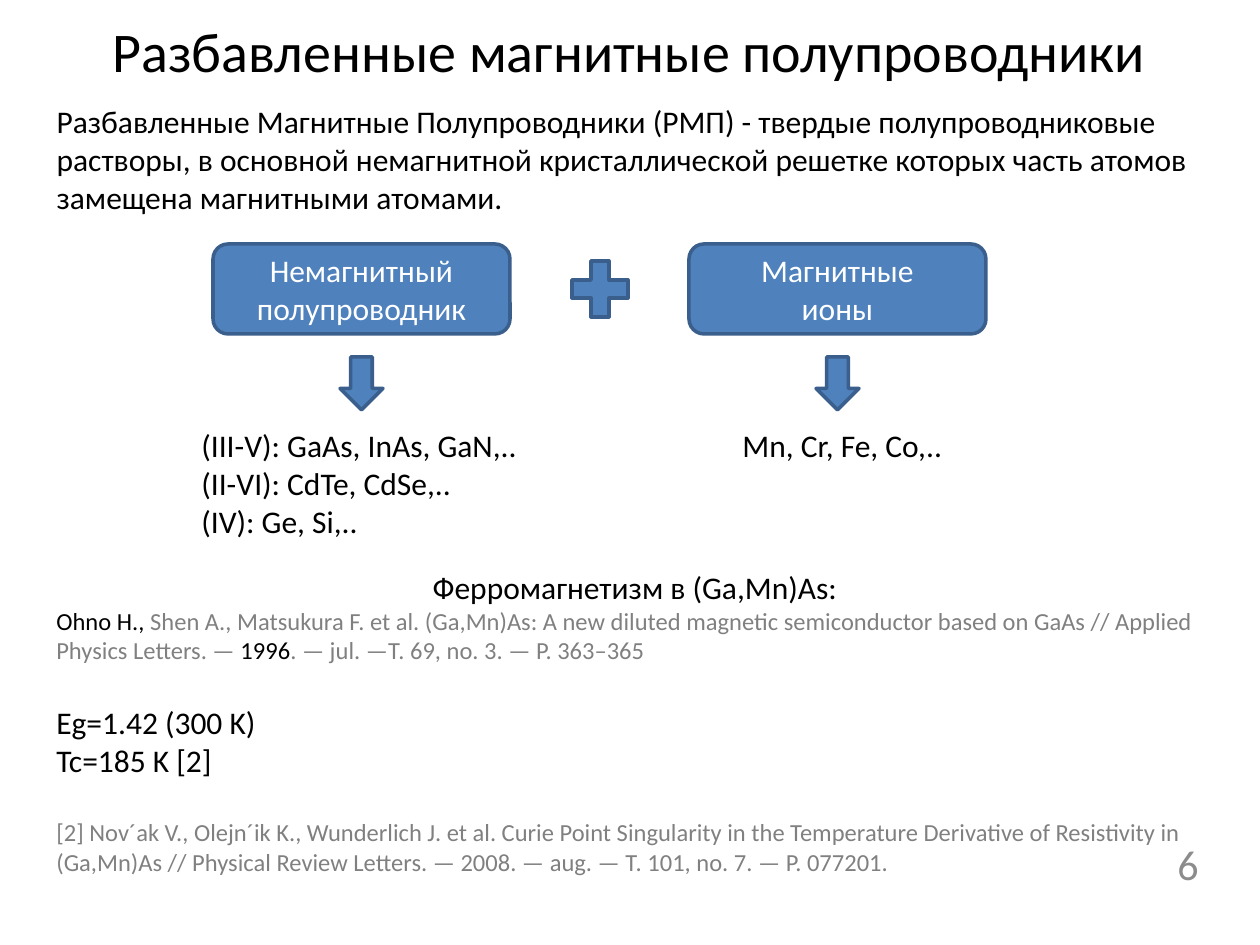
from pptx import Presentation
from pptx.dml.color import RGBColor
from pptx.enum.shapes import MSO_SHAPE
from pptx.enum.text import MSO_ANCHOR, MSO_AUTO_SIZE, PP_ALIGN
from pptx.oxml.ns import qn
from pptx.util import Emu, Pt

LEFT, CENTER, RIGHT = PP_ALIGN.LEFT, PP_ALIGN.CENTER, PP_ALIGN.RIGHT
MIDDLE = MSO_ANCHOR.MIDDLE
ROUNDED, PLUS, DOWN_ARROW = (
    MSO_SHAPE.ROUNDED_RECTANGLE, MSO_SHAPE.MATH_PLUS, MSO_SHAPE.DOWN_ARROW)

PX = 914400 / 126
BLACK, GRAY, WHITE = "000000", "808080", "FFFFFF"
BLUE, DARK_BLUE, NUMBER_GRAY = "4F81BD", "3A5F8C", "8C8C8C"


def box(*lengths):
    """Turn px lengths into EMU."""
    return [Emu(round(length * PX)) for length in lengths]


def write(text_frame, paragraphs, align=LEFT, size=18, color=BLACK):
    """Fill a frame; each paragraph is a string, styled alike."""
    text_frame.word_wrap = True
    text_frame.text = "\n".join(paragraphs)
    for paragraph in text_frame.paragraphs:
        paragraph.alignment = align
        for run in paragraph.runs:
            run.font.name = "Calibri"
            run.font.size = Pt(size)
            run.font.color.rgb = RGBColor.from_string(color)


presentation = Presentation()
presentation.slide_width, presentation.slide_height = box(1260, 945)
slide = presentation.slides.add_slide(presentation.slide_layouts[1])
shapes = slide.shapes

# Title and definition
title, body = shapes.title, slide.placeholders[1]
for placeholder, top, height in ((title, 16, 69), (body, 96, 139)):
    (placeholder.left, placeholder.top,
     placeholder.width, placeholder.height) = box(44, top, 1171, height)
    placeholder.text_frame.auto_size = MSO_AUTO_SIZE.NONE
write(title.text_frame, ["Разбавленные магнитные полупроводники"], CENTER, 32)
write(body.text_frame, [
    "Разбавленные Магнитные Полупроводники (РМП) - твердые полупроводниковые "
    "растворы, в основной немагнитной кристаллической решетке которых часть "
    "атомов замещена магнитными атомами."])
body_properties = body.text_frame.paragraphs[0]._p.get_or_add_pPr()
body_properties.set("marL", "0")
body_properties.set("indent", "0")
body_properties.append(body_properties.makeelement(qn("a:buNone"), {}))
body.text_frame.paragraphs[0].space_before = Pt(0)

# Slide number
number = shapes.add_textbox(*box(917, 839, 294, 50))
number.text_frame.vertical_anchor = MIDDLE
write(number.text_frame, ["6"], RIGHT, 24, NUMBER_GRAY)

# Components: two boxes joined by a plus, each with an arrow to its examples
diagram = [(PLUS, (562, 251, 76, 76), [])]
for left, label in ((213, ["Немагнитный", "полупроводник"]),
                    (689, ["Магнитные", "ионы"])):
    diagram.append((ROUNDED, (left, 244, 297, 90), label))
    diagram.append((DOWN_ARROW, (left + 127, 357, 43, 53), []))

for kind, place, label in diagram:
    shape = shapes.add_shape(kind, *box(*place))
    shape.shadow.inherit = False
    shape.fill.solid()
    shape.fill.fore_color.rgb = RGBColor.from_string(BLUE)
    shape.line.color.rgb = RGBColor.from_string(DARK_BLUE)
    shape.line.width = Pt(2)
    if label:
        shape.text_frame.vertical_anchor = MIDDLE
        write(shape.text_frame, label, CENTER, color=WHITE)

for left, height, examples in (
        (189, 127, ["(III-V): GaAs, InAs, GaN,..", "(II-VI): CdTe, CdSe,..",
                    "(IV): Ge, Si,.."]),
        (730, 50, ["Mn, Cr, Fe, Co,.."])):
    example_list = shapes.add_textbox(*box(left, 420, 348, height))
    write(example_list.text_frame, examples)

# Ferromagnetism in (Ga,Mn)As, with references
results = shapes.add_textbox(*box(44, 562, 1182, 369)).text_frame
write(results, [
    "Ферромагнетизм в (Ga,Mn)As:",
    "Ohno H., ",
    "Eg=1.42 (300 K)",
    "Tc=185 K [2]",
    "[2] Nov´ak V., Olejn´ik K., Wunderlich J. et al. Curie Point Singularity "
    "in the Temperature Derivative of Resistivity in (Ga,Mn)As // Physical "
    "Review Letters. — 2008. — aug. — Т. 101, no. 7. — P. 077201."])
heading, first_reference, band_gap, _, second_reference = results.paragraphs
heading.alignment = CENTER
for text in (
        "Shen A., Matsukura F. et al. (Ga,Mn)As: A new diluted magnetic "
        "semiconductor based on GaAs // Applied Physics Letters. — ",
        "1996",
        ". — jul. —Т. 69, no. 3. — P. 363–365"):
    first_reference.add_run().text = text
for reference in (first_reference, second_reference):
    for run in reference.runs:
        shade = BLACK if run.text in ("Ohno H., ", "1996") else GRAY
        run.font.name = "Calibri"
        run.font.size = Pt(14)
        run.font.color.rgb = RGBColor.from_string(shade)
for paragraph in (band_gap, second_reference):
    paragraph.space_before = Pt(22)

presentation.save("out.pptx")
